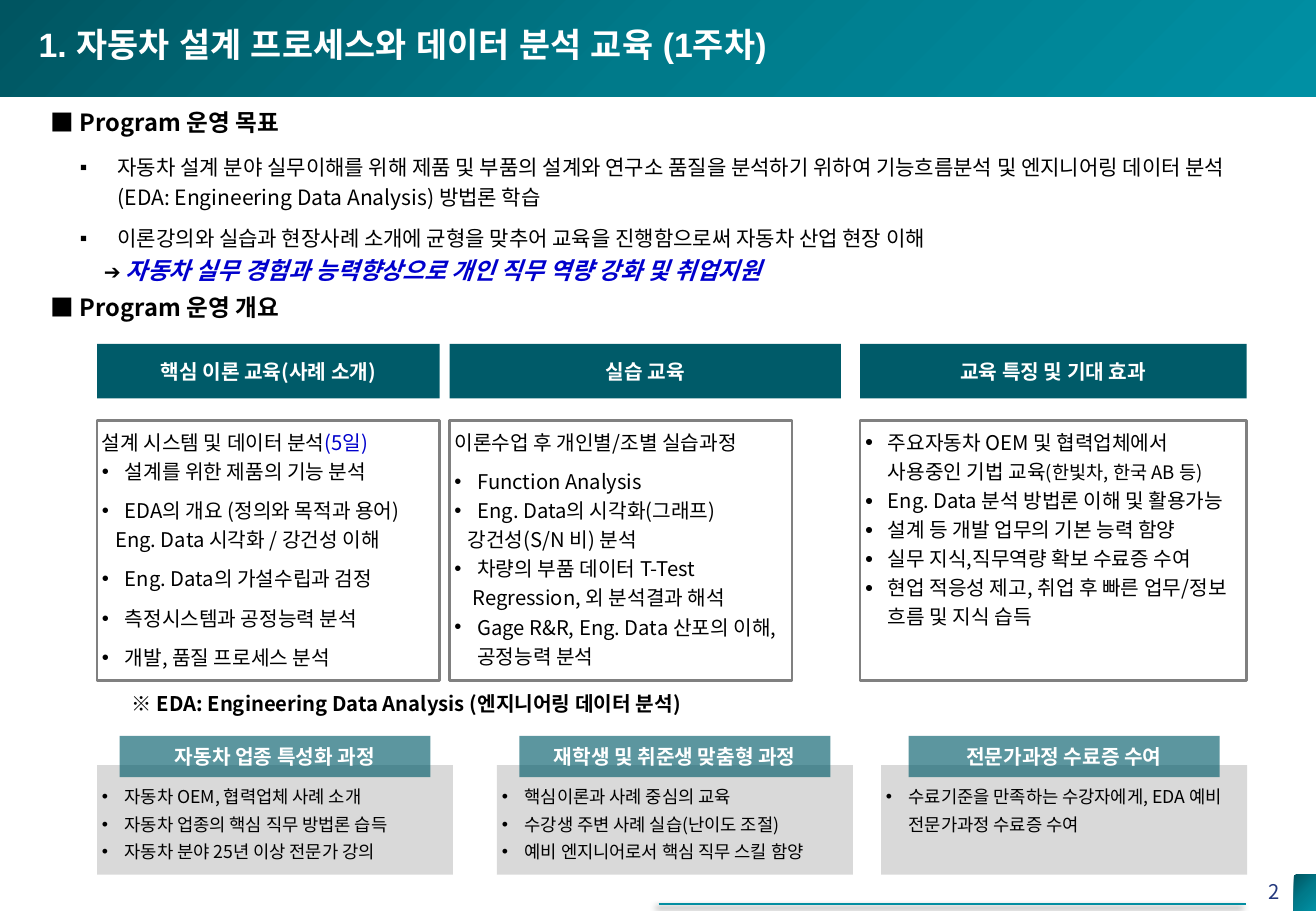
import pptx
import pptx.dml.color
import pptx.enum.shapes
import pptx.enum.text
import pptx.oxml
import pptx.oxml.ns
import pptx.util
from lxml import etree

Cm, Pt = pptx.util.Cm, pptx.util.Pt
ALIGN = pptx.enum.text.PP_ALIGN
ANCHOR = pptx.enum.text.MSO_ANCHOR
NOTO = "Noto Sans CJK KR"
TEAL, BLUE, GRAY = "005B69", "0000CC", "D9D9D9"
HANGING = 0.48
CIRCLE = '<a:path path="circle"><a:fillToRect r="100000" b="100000"/></a:path>'
DIAGONAL = '<a:lin ang="2700000" scaled="0"/>'


def rgb(value):
    return pptx.dml.color.RGBColor.from_string(value)


def child(parent, tag, **attributes):
    return etree.SubElement(parent, pptx.oxml.ns.qn(tag), attributes)


def add_bullet(paragraph, bullet, hanging, percent):
    props = paragraph._p.get_or_add_pPr()
    props.set("marL", str(Cm(hanging)))
    props.set("indent", str(-Cm(hanging)))
    if percent != 100:
        child(props, "a:buSzPct", val=str(percent * 1000))
    child(props, "a:buFont", typeface="Arial")
    child(props, "a:buChar", char=bullet)


def write(frame, text, size=12, color="000000", bold=False, italic=False, font=NOTO,
          align=ALIGN.LEFT, spacing=None, after=0, bullet=None, hanging=HANGING,
          percent=100, indent=0):
    first = frame.paragraphs[0]
    paragraph = first if not first.runs else frame.add_paragraph()
    paragraph.alignment = align
    paragraph.space_after = Pt(after)
    if spacing:
        paragraph.line_spacing = spacing
    if bullet:
        add_bullet(paragraph, bullet, hanging, percent)
    elif indent:
        paragraph._p.get_or_add_pPr().set("marL", str(Cm(indent)))
    pieces = [(text, {})] if isinstance(text, str) else text
    for words, change in pieces:
        run = paragraph.add_run()
        run.text = words
        run.font.name = font
        child(run._r.get_or_add_rPr(), "a:ea", typeface=font)
        run.font.size = Pt(change.get("size", size))
        run.font.bold = change.get("bold", bold)
        run.font.italic = change.get("italic", italic)
        run.font.color.rgb = rgb(change.get("color", color))


def text_area(slide, left, top, width, height, anchor=ANCHOR.TOP):
    area = slide.shapes.add_textbox(Cm(left), Cm(top), Cm(width), Cm(height))
    area.text_frame.word_wrap = True
    area.text_frame.vertical_anchor = anchor
    return area.text_frame


def block(slide, left, top, width, height, fill=None, border=None, opacity=100,
          anchor=ANCHOR.TOP, insets=(0, 0, 0, 0)):
    shape = slide.shapes.add_shape(pptx.enum.shapes.MSO_SHAPE.RECTANGLE,
                                   Cm(left), Cm(top), Cm(width), Cm(height))
    shape.shadow.inherit = False
    if fill:
        shape.fill.solid()
        shape.fill.fore_color.rgb = rgb(fill)
        if opacity < 100:
            tint = shape._element.spPr.find(".//" + pptx.oxml.ns.qn("a:srgbClr"))
            child(tint, "a:alpha", val=str(opacity * 1000))
    else:
        shape.fill.background()
    if border:
        shape.line.color.rgb = rgb(border)
        shape.line.width = Pt(1.5)
    else:
        shape.line.fill.background()
    frame = shape.text_frame
    frame.word_wrap = True
    frame.vertical_anchor = anchor
    (frame.margin_left, frame.margin_top,
     frame.margin_right, frame.margin_bottom) = [Cm(inset) for inset in insets]
    return shape


def gradient_block(slide, left, top, width, height, direction):
    shape = block(slide, left, top, width, height)
    stops = "".join(f'<a:gs pos="{place}"><a:srgbClr val="{color}"/></a:gs>' for place, color in
                    [(0, "005561"), (50000, "007A8A"), (100000, "0090A4")])
    gradient = pptx.oxml.parse_xml(
        f'<a:gradFill {pptx.oxml.ns.nsdecls("a")} rotWithShape="1">'
        f'<a:gsLst>{stops}</a:gsLst>{direction}</a:gradFill>')
    props = shape._element.spPr
    props.replace(props.find(pptx.oxml.ns.qn("a:noFill")), gradient)


def banner(slide, left, top, width, height, title):
    gradient_block(slide, left, top, width, height, CIRCLE)
    write(text_area(slide, left + 0.56, top + 0.38, 20.78, 1.12), title,
          size=20, color="FFFFFF", bold=True, font="Arial")


def footer(slide, left, top, width, height, number):
    rule = slide.shapes.add_connector(pptx.enum.shapes.MSO_CONNECTOR.STRAIGHT,
                                      Cm(left), Cm(top + 0.61), Cm(left + 12.27), Cm(top + 0.61))
    rule.line.color.rgb = rgb("038EA1")
    rule.line.width = Pt(1.5)
    effects = child(rule._element.spPr, "a:effectLst")
    shadow = child(effects, "a:outerShdw", blurRad=str(Pt(4)), dist=str(Pt(3)),
                   dir="8100000", algn="tr", rotWithShape="0")
    child(child(shadow, "a:srgbClr", val="000000"), "a:alpha", val="40000")
    gradient_block(slide, left + width - 0.46, top, 0.46, height, DIAGONAL)
    write(text_area(slide, left + width - 1.65, top - 0.05, 1.14, 0.81, ANCHOR.MIDDLE),
          number, color="23387D", align=ALIGN.RIGHT)


def heading(slide, left, top, width, height, text):
    write(text_area(slide, left, top, width, height), text, size=14, bold=True)


def goals(slide, left, top, width, height, items, outcome):
    frame = text_area(slide, left, top, width, height)
    for item, after in zip(items, (6, 0)):
        write(frame, item, size=12.5, spacing=1.2, after=after, bullet="▪", hanging=0.79)
    write(frame, [("➔ ", {}), (outcome, dict(size=14, color=BLUE, bold=True, italic=True))],
          spacing=1.2, indent=0.5)


def overview(slide, left, top, width, height, title, lines, header_width):
    header = block(slide, left, top, header_width, 1.14, fill=TEAL, anchor=ANCHOR.MIDDLE)
    write(header.text_frame, title, color="FFFFFF", bold=True, align=ALIGN.CENTER)
    body = block(slide, left, top + 1.6, width, height - 1.6, border="808080",
                 insets=(0.1, 0.1, 0.1, 0))
    for text, style in lines:
        write(body.text_frame, text, spacing=1.2, **style)


def benefit(slide, left, top, width, height, title, lines):
    body = block(slide, left, top + 0.61, width, height - 0.61, fill=GRAY,
                 insets=(0.1, 0.3, 0.1, 0.1))
    for line in lines:
        write(body.text_frame, line, size=10.5, spacing=1.3, bullet="•")
    tab_width = 6.5
    tab = block(slide, left + (width - tab_width) / 2, top, tab_width, 0.86,
                fill=TEAL, opacity=64, anchor=ANCHOR.MIDDLE)
    write(tab.text_frame, title, color="FFFFFF", bold=True, align=ALIGN.CENTER)


DOT = dict(bullet="•")
DOT_GAP = dict(bullet="•", after=6)
DISC = dict(bullet="●", percent=70)
OVERVIEWS = [
    (2.03, 7.16, 7.16, "핵심 이론 교육(사례 소개)", [
        ([("설계 시스템 및 데이터 분석", {}), ("(5일)", dict(color=BLUE))], {}),
        ("설계를 위한 제품의 기능 분석", DOT_GAP),
        ("EDA의 개요 (정의와 목적과 용어)", DOT),
        ("Eng. Data 시각화 / 강건성 이해", dict(indent=0.28, after=6)),
        ("Eng. Data의 가설수립과 검정", DOT_GAP),
        ("측정시스템과 공정능력 분석", DOT_GAP),
        ("개발, 품질 프로세스 분석", DOT)]),
    (9.4, 7.16, 8.18, "실습 교육", [
        ("이론수업 후 개인별/조별 실습과정", dict(after=6)),
        ("Function Analysis", DOT),
        ("Eng. Data의 시각화(그래프)", DOT),
        ("강건성(S/N 비) 분석", dict(indent=0.28)),
        ("차량의 부품 데이터 T-Test", DOT),
        ("Regression, 외 분석결과 해석", dict(indent=0.38)),
        ("Gage R&R, Eng. Data 산포의 이해, 공정능력 분석", DOT)]),
    (17.98, 8.08, 8.08, "교육 특징 및 기대 효과", [
        ([("주요자동차 OEM 및 협력업체에서 사용중인 기법 교육", {}),
          ("(한빛차, 한국 AB 등)", dict(size=11))], DISC),
        ("Eng. Data 분석 방법론 이해 및 활용가능", DISC),
        ("설계 등 개발 업무의 기본 능력 함양", DISC),
        ("실무 지식,직무역량 확보 수료증 수여", DISC),
        ("현업 적응성 제고, 취업 후 빠른 업무/정보 흐름 및 지식 습득", DISC)]),
]
BENEFITS = [
    (2.03, 7.44, "자동차 업종 특성화 과정",
     ["자동차 OEM, 협력업체 사례 소개", "자동차 업종의 핵심 직무 방법론 습득",
      "자동차 분야 25년 이상 전문가 강의"]),
    (10.39, 7.44, "재학생 및 취준생 맞춤형 과정",
     ["핵심이론과 사례 중심의 교육", "수강생 주변 사례 실습(난이도 조절)",
      "예비 엔지니어로서 핵심 직무 스킬 함양"]),
    (18.42, 7.65, "전문가과정 수료증 수여",
     ["수료기준을 만족하는 수강자에게, EDA 예비 전문가과정 수료증 수여"]),
]


def main():
    deck = pptx.Presentation()
    deck.slide_width, deck.slide_height = Cm(27.51), Cm(19.05)
    slide = deck.slides.add_slide(deck.slide_layouts[6])
    banner(slide, 0, 0, 27.51, 2.03, "1. 자동차 설계 프로세스와 데이터 분석 교육 (1주차)")
    footer(slide, 13.77, 18.29, 13.74, 0.76, "2")
    heading(slide, 0.81, 2.13, 6.12, 0.86, "■ Program 운영 목표")
    goals(slide, 1.42, 3, 25.27, 3.05, [
        "자동차 설계 분야 실무이해를 위해 제품 및 부품의 설계와 연구소 품질을 분석하기 위하여 "
        "기능흐름분석 및 엔지니어링 데이터 분석(EDA: Engineering Data Analysis) 방법론 학습",
        "이론강의와 실습과 현장사례 소개에 균형을 맞추어 교육을 진행함으로써 자동차 산업 현장 이해"],
        "자동차 실무 경험과 능력향상으로 개인 직무 역량 강화 및 취업지원")
    heading(slide, 0.81, 6, 6.12, 0.86, "■ Program 운영 개요")
    for left, width, header_width, title, lines in OVERVIEWS:
        overview(slide, left, 7.19, width, 7.04, title, lines, header_width)
    write(text_area(slide, 2.51, 14.33, 13.77, 0.76),
          "※ EDA: Engineering Data Analysis (엔지니어링 데이터 분석)", bold=True)
    for left, width, title, lines in BENEFITS:
        benefit(slide, left, 15.39, width, 2.9, title, lines)
    deck.save("out.pptx")


if __name__ == "__main__":
    main()
